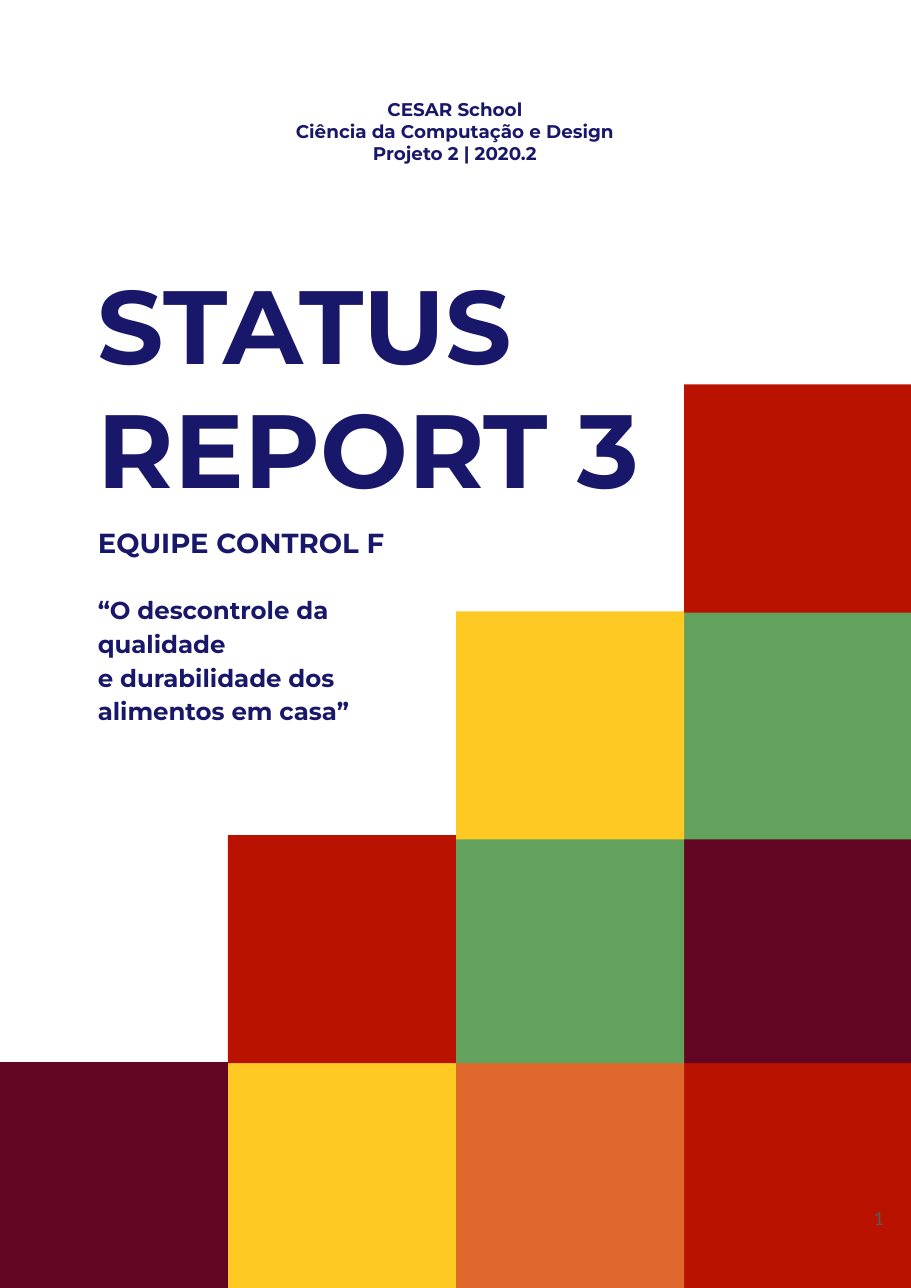
from dataclasses import dataclass

from lxml import etree
from pptx import Presentation
from pptx.dml.color import RGBColor
from pptx.enum.shapes import MSO_SHAPE as Preset
from pptx.enum.text import PP_ALIGN as Align
from pptx.oxml.ns import qn
from pptx.util import Inches, Pt


@dataclass(frozen=True)
class Theme:
    font: str = "Montserrat"
    number_font: str = "Calibri"
    navy: str = "191769"
    gray: str = "595959"
    red: str = "BA1200"
    wine: str = "620623"
    green: str = "62A25D"
    yellow: str = "FFC924"
    orange: str = "DF682D"
    title_size: int = 68
    team_size: int = 18
    quote_size: int = 16
    header_size: int = 12
    number_size: int = 13


THEME = Theme()
TILE = 2.07
ROW_TOPS = (9.64, 7.58, 5.55, 3.49)

# Columns from right to left, each listed from the bottom tile upwards
TILE_COLUMNS = {
    3: (THEME.red, THEME.wine, THEME.green, THEME.red),
    2: (THEME.orange, THEME.green, THEME.yellow),
    1: (THEME.yellow, THEME.red),
    0: (THEME.wine,),
}


def add_tile(slide, column, top, color):
    tile = slide.shapes.add_shape(
        Preset.RECTANGLE, Inches(column * TILE), Inches(top), Inches(TILE), Inches(TILE))
    tile.shadow.inherit = False
    tile.fill.solid()
    tile.fill.fore_color.rgb = RGBColor.from_string(color)
    tile.line.fill.background()


def add_text_frame(slide, left, top, width, height):
    box = slide.shapes.add_textbox(Inches(left), Inches(top), Inches(width), Inches(height))
    frame = box.text_frame
    frame.word_wrap = True
    frame.margin_left = frame.margin_right = Inches(0.1)
    frame.margin_top = frame.margin_bottom = Inches(0.1)
    return frame


def add_line(frame, text, size, align=Align.LEFT, spacing=1.0, before=0):
    first = frame.paragraphs[0]
    paragraph = frame.add_paragraph() if first.runs else first
    paragraph.alignment = align
    paragraph.line_spacing = spacing
    if before:
        paragraph.space_before = Pt(before)
    run = paragraph.add_run()
    run.text = text
    run.font.name = THEME.font
    run.font.size = Pt(size)
    run.font.bold = True
    run.font.color.rgb = RGBColor.from_string(THEME.navy)


def add_slide_number(slide):
    paragraph = add_text_frame(slide, 7.5, 10.84, 0.62, 0.4).paragraphs[0]
    paragraph.alignment = Align.RIGHT
    run = paragraph.add_run()
    run.text = "1"
    run.font.name = THEME.number_font
    run.font.size = Pt(THEME.number_size)
    run.font.color.rgb = RGBColor.from_string(THEME.gray)

    # Turn the run into a live slide number field
    field = etree.SubElement(paragraph._p, qn("a:fld"), type="slidenum",
                             id="{B6F15528-21DE-4FAA-801E-634DDDAF4B2B}")
    field.extend(list(run._r))
    paragraph._p.remove(run._r)


def main():
    presentation = Presentation()
    presentation.slide_width = Inches(8.27)
    presentation.slide_height = Inches(11.69)
    slide = presentation.slides.add_slide(presentation.slide_layouts[6])

    # Staircase of coloured tiles
    for column, colors in TILE_COLUMNS.items():
        for top, color in zip(ROW_TOPS, colors):
            add_tile(slide, column, top, color)

    # Title
    title = add_text_frame(slide, 0.79, 2.26, 6.47, 2.49)
    add_line(title, "STATUS REPORT 3", THEME.title_size)

    # Course header
    header = add_text_frame(slide, 1.3, 0.79, 5.66, 0.69)
    for text in ("CESAR School", "Ciência da Computação e Design", "Projeto 2 | 2020.2"):
        add_line(header, text, THEME.header_size, align=Align.CENTER)

    # Team and theme
    team = add_text_frame(slide, 0.79, 4.67, 3.24, 2.29)
    add_line(team, "EQUIPE CONTROL F", THEME.team_size)
    add_line(team, "“O descontrole da qualidade", THEME.quote_size, spacing=1.15, before=21)
    add_line(team, "e durabilidade dos alimentos em casa”", THEME.quote_size, spacing=1.15)

    add_slide_number(slide)
    presentation.save("out.pptx")


if __name__ == "__main__":
    main()
